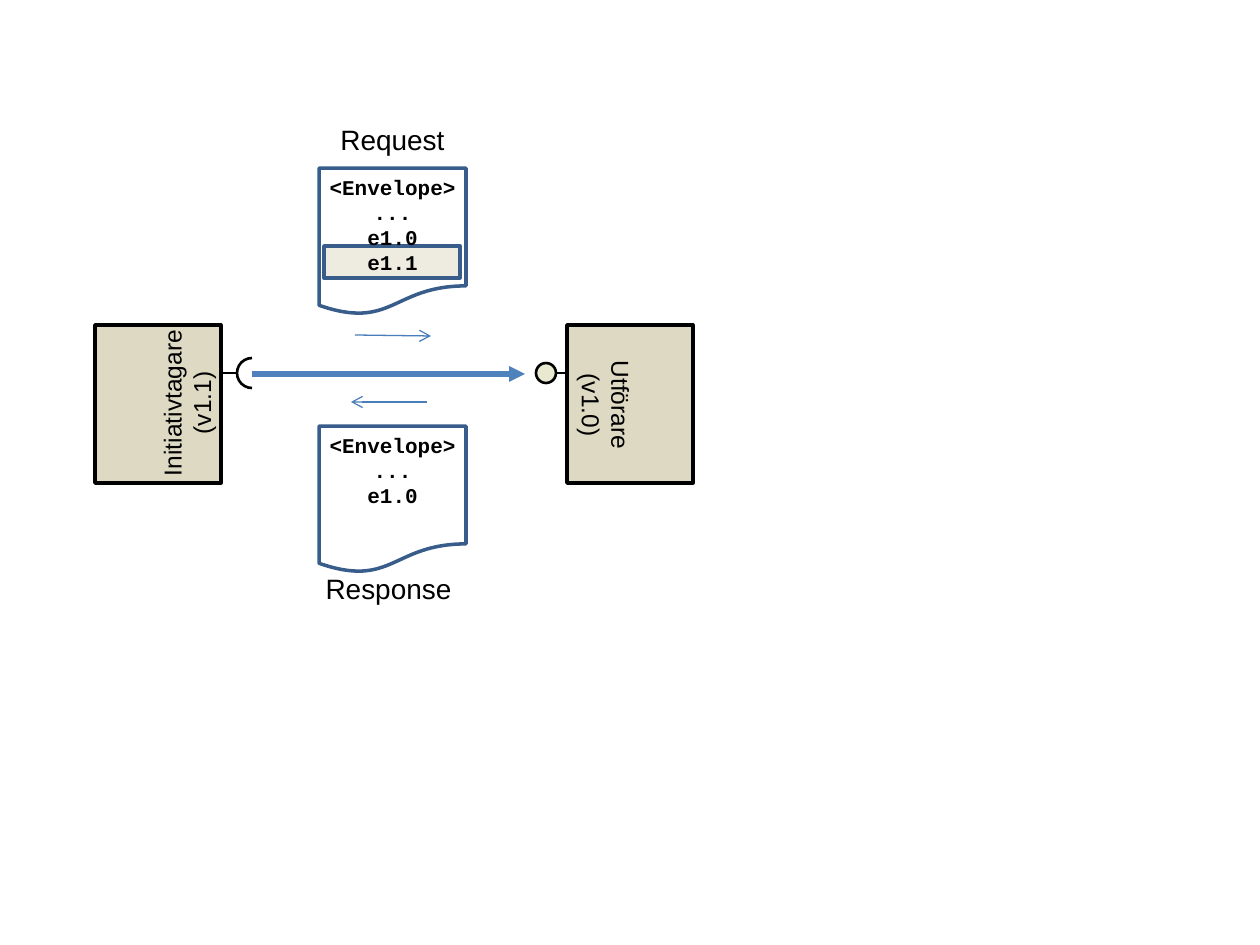
from lxml import etree
from pptx import Presentation
from pptx.dml.color import RGBColor
from pptx.enum.shapes import MSO_CONNECTOR, MSO_SHAPE
from pptx.enum.text import MSO_ANCHOR, MSO_AUTO_SIZE, PP_ALIGN
from pptx.oxml.ns import qn
from pptx.util import Emu, Inches, Pt

RECTANGLE, DOCUMENT = MSO_SHAPE.RECTANGLE, MSO_SHAPE.FLOWCHART_DOCUMENT
OVAL, ARC = MSO_SHAPE.OVAL, MSO_SHAPE.ARC
STRAIGHT = MSO_CONNECTOR.STRAIGHT
CENTER, TOP = PP_ALIGN.CENTER, MSO_ANCHOR.TOP
GROW = MSO_AUTO_SIZE.SHAPE_TO_FIT_TEXT

PX_PER_INCH = 126
BLACK, WHITE, SAND, PALE = "000000", "FFFFFF", "DDD9C3", "EEECE1"
BALL_FILL, NAVY, BLUE, THIN_BLUE = "E9E8D0", "385D8A", "4F81BD", "4A7EBB"


def px(length):
    return Emu(round(length * 914400 / PX_PER_INCH))


def paint(color_format, value):
    color_format.rgb = RGBColor.from_string(value)


def add_shape(page, kind, x, y, width, height, fill=None, line=BLACK, weight=2):
    shape = page.shapes.add_shape(kind, px(x), px(y), px(width), px(height))
    shape.shadow.inherit = False
    if fill:
        shape.fill.solid()
        paint(shape.fill.fore_color, fill)
    else:
        shape.fill.background()
    paint(shape.line.color, line)
    shape.line.width = Pt(weight)
    return shape


def add_line(page, start, end, color=BLACK, weight=1.5, arrow=None):
    line = page.shapes.add_connector(STRAIGHT, *map(px, start + end))
    paint(line.line.color, color)
    line.line.width = Pt(weight)
    if arrow:
        etree.SubElement(line.line._get_or_add_ln(), qn("a:tailEnd"), type=arrow)
    etree.SubElement(line._element.spPr, qn("a:effectLst"))


def add_text(page, lines, x, y, width, height, font="Arial", size=16,
             bold=False, wrap=False, rotation=0):
    box = page.shapes.add_textbox(px(x), px(y), px(width), px(height))
    box.rotation = rotation
    frame = box.text_frame
    frame.word_wrap = wrap
    frame.auto_size = GROW
    frame.vertical_anchor = TOP
    for index, line in enumerate(lines):
        para = frame.paragraphs[0] if index == 0 else frame.add_paragraph()
        para.alignment = CENTER
        span = para.add_run()
        span.text = line
        span.font.name = font
        span.font.size = Pt(size)
        span.font.bold = bold
        paint(span.font.color, BLACK)


def add_socket(page, x, y):
    """Half-circle interface, with its stem running left from (x, y)."""
    add_line(page, (x, y), (x - 38, y))
    arc = add_shape(page, ARC, x - 1, y - 15, 30, 30, weight=1.5)
    # Angles from 90 to 270 degrees, in 1/60000 degree over 100000
    arc.adjustments[0], arc.adjustments[1] = 54, 162


def add_ball(page, x, y):
    """Round interface, with its stem running right."""
    add_line(page, (x + 20, y), (x + 65, y))
    add_shape(page, OVAL, x, y - 10, 20, 20, BALL_FILL, weight=1.5)


def add_component(page, x, y, lines, text_center, rotation):
    """Box with a turned label, whose frame leaves room for the longest line."""
    add_shape(page, RECTANGLE, x, y, 126, 158, SAND)
    width, height = 182, 72
    center_x, center_y = text_center
    add_text(page, lines, x + center_x - width / 2, y + center_y - height / 2,
             width, height, size=14, rotation=rotation)


def add_message(page, x, y, lines, highlight=False):
    add_shape(page, DOCUMENT, x, y, 147, 147, WHITE, NAVY)
    if highlight:
        add_shape(page, RECTANGLE, x + 5, y + 78, 136, 32, PALE, NAVY)
    add_text(page, lines, x - 37, y, 221, 139, font="Courier New",
             size=12, bold=True, wrap=True)


def main():
    deck = Presentation()
    deck.slide_width, deck.slide_height = Inches(10), Inches(7.5)
    page = deck.slides.add_slide(deck.slide_layouts[6])

    # Components and their interfaces
    add_socket(page, 238, 373)
    add_ball(page, 536, 373)
    add_component(page, 95, 325, ["Initiativtagare", "(v1.1)"], (92, 78), 270)
    add_component(page, 567, 325, ["Utförare", "(v1.0)"], (39, 80), 90)

    # Call between the components
    add_line(page, (252, 374), (525, 374), BLUE, 3, "triangle")
    add_line(page, (355, 335), (431, 336), THIN_BLUE, 0.75, "arrow")
    add_line(page, (427, 402), (351, 402), THIN_BLUE, 0.75, "arrow")

    # Messages and their labels
    envelope = ["<Envelope>", "...", "e1.0"]
    add_message(page, 319, 168, envelope + ["e1.1"], highlight=True)
    add_message(page, 319, 426, envelope)
    add_text(page, ["Request"], 328, 116, 129, 47)
    add_text(page, ["Response"], 313, 565, 151, 47)

    deck.save("out.pptx")


if __name__ == "__main__":
    main()
